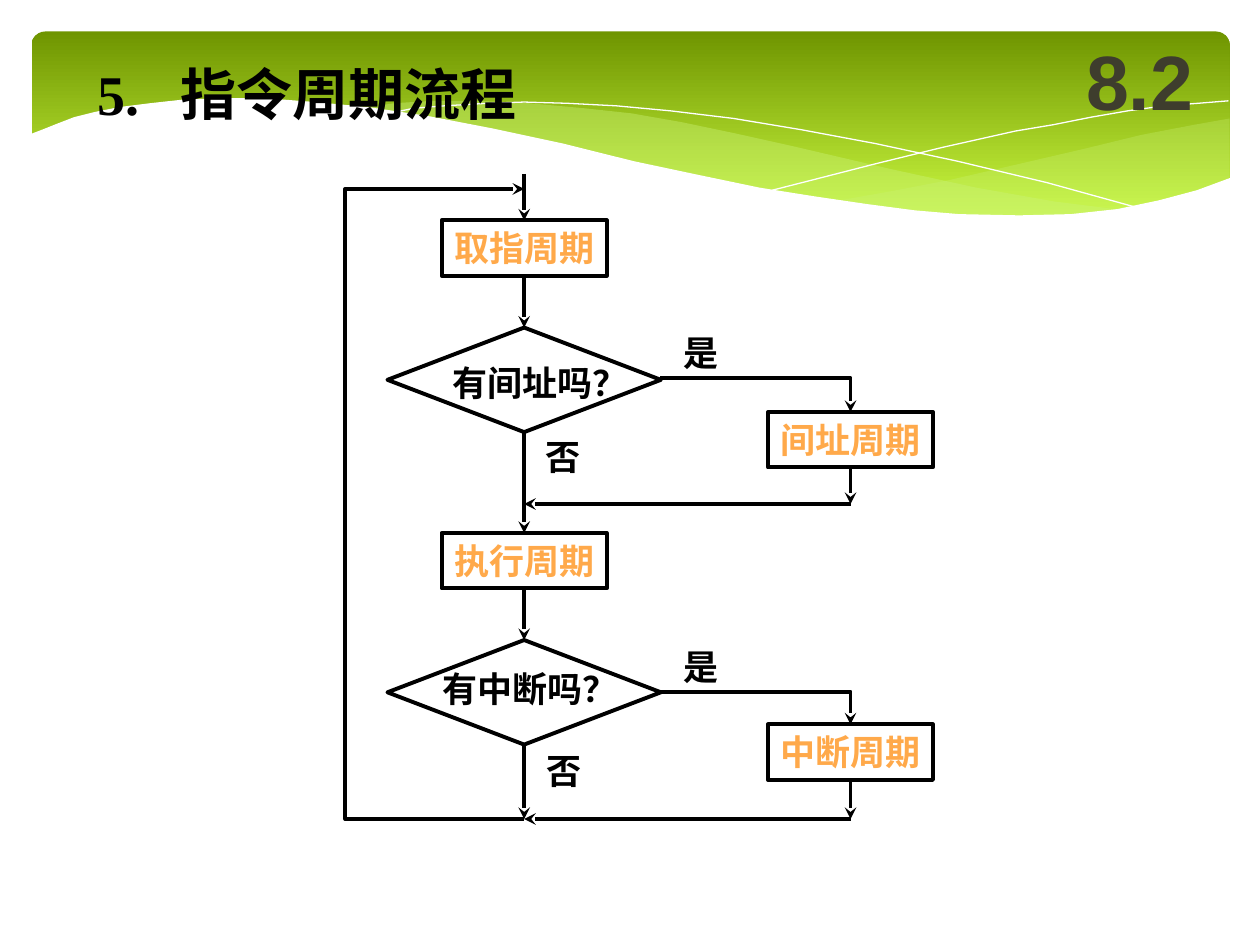
"""Build the instruction cycle flowchart slide."""
from lxml import etree
from pptx import Presentation
from pptx.dml.color import RGBColor
from pptx.enum.shapes import MSO_CONNECTOR, MSO_SHAPE
from pptx.enum.text import MSO_ANCHOR, MSO_AUTO_SIZE, PP_ALIGN
from pptx.oxml.ns import qn
from pptx.util import Inches, Pt

STRAIGHT = MSO_CONNECTOR.STRAIGHT
RECTANGLE, DIAMOND, ROUNDED = MSO_SHAPE.RECTANGLE, MSO_SHAPE.DIAMOND, MSO_SHAPE.ROUNDED_RECTANGLE
TOP, MIDDLE = MSO_ANCHOR.TOP, MSO_ANCHOR.MIDDLE
LEFT, CENTER = PP_ALIGN.LEFT, PP_ALIGN.CENTER
NO_AUTOSIZE = MSO_AUTO_SIZE.NONE
TOP_SITE, BOTTOM_SITE = 0, 2

COLORS = {
    "ink": "000000", "step": "FFA94A", "number": "3E3D2D", "white": "FFFFFF",
    "band_top": "6F9500", "band_bottom": "D0FF44", "wave": "CAF278",
}
SERIF, SANS = "Times New Roman", "Arial"
TITLE = ("5.", "指令周期流程")
SECTION = "8.2"

MAIN_X, SIDE_X, LOOP_X = 4.16, 6.75, 2.74
START_Y, LOOP_Y, END_Y = 1.38, 1.5, 6.5
BOX_SIZE, DIAMOND_SIZE = (1.31, 0.44), (2.17, 0.83)
STEPS = {
    "取指周期": (MAIN_X, 1.75), "执行周期": (MAIN_X, 4.23),
    "间址周期": (SIDE_X, 3.27), "中断周期": (SIDE_X, 5.75),
}
DECISIONS = {"有间址吗？": 2.6, "有中断吗？": 5.08}
LABELS = [
    ("有间址吗？", 3.49, 2.82, 1.59), ("有中断吗？", 3.41, 5.25, 1.59),
    ("是", 5.33, 2.58, 0.48), ("是", 5.33, 5.07, 0.48),
    ("否", 4.23, 3.41, 0.48), ("否", 4.24, 5.9, 0.48),
]
LINKS = [
    ((MAIN_X, START_Y), "取指周期"), ("取指周期", "有间址吗？"),
    ("有间址吗？", "执行周期"), ("执行周期", "有中断吗？"),
    ("有中断吗？", (MAIN_X, END_Y)),
    ("间址周期", (SIDE_X, 4)), ((SIDE_X, 4), (MAIN_X, 4)),
    ("中断周期", (SIDE_X, END_Y)), ((SIDE_X, END_Y), (MAIN_X, END_Y)),
]
BENT_ARROWS = [
    [(5.24, 3), (SIDE_X, 3), (SIDE_X, 3.27)],
    [(5.24, 5.49), (SIDE_X, 5.49), (SIDE_X, 5.75)],
    [(MAIN_X, END_Y), (LOOP_X, END_Y), (LOOP_X, LOOP_Y), (MAIN_X, LOOP_Y)],
]

RIGHT_WAVE = [
    (9.76, 0.94), (9.48, 0.99), (9.06, 1.07), (8.61, 1.18), (8.05, 1.31), (7.53, 1.43),
    (7.06, 1.52), (6.61, 1.6), (7.05, 1.65), (7.45, 1.69), (7.81, 1.72), (8.14, 1.72),
    (8.54, 1.7), (8.89, 1.66), (9.21, 1.6), (9.49, 1.52), (9.76, 1.41),
]
MIDDLE_WAVE = [
    (8.93, 1.67), (8.37, 1.6), (7.75, 1.49), (7.06, 1.34), (6.29, 1.16), (5.84, 1.06),
    (5.41, 0.97), (5.01, 0.9), (4.64, 0.86), (4.2, 0.82), (3.8, 0.8), (3.44, 0.8),
    (3.13, 0.82), (2.86, 0.86), (3.23, 0.9), (3.62, 0.97), (4.04, 1.06), (4.49, 1.16),
    (5.3, 1.35), (5.84, 1.46), (6.34, 1.56), (6.8, 1.63), (7.22, 1.68), (7.61, 1.71),
    (7.96, 1.73), (8.28, 1.73), (8.57, 1.71), (8.93, 1.67),
]
FALLING_CURVE = [
    (3.09, 0.9), (3.28, 0.86), (3.53, 0.84), (3.87, 0.82), (4.16, 0.81), (4.5, 0.82),
    (4.89, 0.84), (5.32, 0.88), (5.82, 0.94), (6.36, 1.03), (6.95, 1.14), (7.6, 1.28),
    (8.31, 1.45), (9.07, 1.66),
]
RISING_CURVE = [
    (6.13, 1.51), (6.52, 1.41), (6.95, 1.3), (7.48, 1.17), (8.06, 1.04), (8.36, 0.99),
    (8.66, 0.93), (8.95, 0.88), (9.24, 0.84), (9.51, 0.82), (9.75, 0.8),
]
WHITE_WAVE = [
    (9.77, 1.41), (9.5, 1.51), (9.2, 1.59), (8.87, 1.66), (8.5, 1.7), (8.09, 1.71),
    (7.61, 1.7), (7.26, 1.67), (6.88, 1.62), (6.47, 1.56), (6.03, 1.49), (5.55, 1.39),
    (5.03, 1.28), (4.47, 1.14), (3.91, 1.02), (3.39, 0.92), (2.92, 0.85), (2.5, 0.81),
    (2.11, 0.78), (1.76, 0.78), (1.46, 0.79), (1.19, 0.82), (0.95, 0.85), (0.75, 0.89),
    (0.59, 0.93), (0.46, 0.98), (0.36, 1.02), (0.23, 1.07), (0.23, 2.24), (9.77, 2.24),
]


def rgb(name):
    return RGBColor.from_string(COLORS[name])


def add_run(paragraph, text, size, color, font_name=SERIF):
    run = paragraph.add_run()
    run.text = text
    font = run.font
    font.name, font.size, font.bold = font_name, Pt(size), True
    font.color.rgb = rgb(color)


def set_line(shape, color="ink", width=2.25):
    shape.line.color.rgb = rgb(color)
    shape.line.width = Pt(width)


def add_arrowhead(shape):
    line = shape._element.spPr.find(qn("a:ln"))
    etree.SubElement(line, qn("a:tailEnd"), type="stealth")


def add_path(slide, points, closed=False):
    corners = [(Inches(x), Inches(y)) for x, y in points]
    builder = slide.shapes.build_freeform(*corners[0])
    builder.add_line_segments(corners[1:], close=closed)
    shape = builder.convert_to_shape()
    shape.shadow.inherit = False
    shape.fill.background()
    return shape


def add_wave(slide, points, color, opacity=100):
    shape = add_path(slide, points, closed=True)
    shape.fill.solid()
    shape.fill.fore_color.rgb = rgb(color)
    shape.line.fill.background()
    if opacity < 100:
        fill_color = shape._element.spPr.find(qn("a:solidFill"))[0]
        etree.SubElement(fill_color, qn("a:alpha"), val=str(opacity * 1000))


def add_banner(slide):
    banner = slide.shapes.add_shape(ROUNDED, Inches(0.25), Inches(0.25), Inches(9.51), Inches(1.56))
    banner.adjustments[0] = 0.07
    banner.shadow.inherit = False
    banner.line.fill.background()
    banner.fill.gradient()
    banner.fill.gradient_angle = 270
    for stop, position, color in zip(banner.fill.gradient_stops, (0, 1), ("band_top", "band_bottom")):
        stop.position = position
        stop.color.rgb = rgb(color)
    add_wave(slide, RIGHT_WAVE, "wave", 29)
    add_wave(slide, MIDDLE_WAVE, "wave", 40)
    for curve in (FALLING_CURVE, RISING_CURVE):
        set_line(add_path(slide, curve), "white", 0)
    add_wave(slide, WHITE_WAVE, "white")


def add_headings(slide):
    title = slide.shapes.title
    title._element.getparent().append(title._element)
    title.left, title.top, title.width, title.height = map(Inches, (0.67, 0.42, 6.25, 0.64))
    frame = title.text_frame
    frame.auto_size, frame.vertical_anchor = NO_AUTOSIZE, TOP
    paragraph = frame.paragraphs[0]
    paragraph.alignment = LEFT
    tabs = etree.SubElement(paragraph._p.get_or_add_pPr(), qn("a:tabLst"))
    etree.SubElement(tabs, qn("a:tab"), pos=str(Inches(0.66)), algn="l")
    add_run(paragraph, "\t".join(TITLE), 32, "ink")

    section = slide.shapes.add_textbox(Inches(8.42), Inches(0.17), Inches(1.25), Inches(0.92))
    section.text_frame.word_wrap = True
    section.text_frame.vertical_anchor = MIDDLE
    paragraph = section.text_frame.paragraphs[0]
    paragraph.alignment = CENTER
    add_run(paragraph, SECTION, 44, "number", SANS)


def add_node(slide, kind, center_x, top, size):
    width, height = size
    node = slide.shapes.add_shape(
        kind, Inches(center_x - width / 2), Inches(top), Inches(width), Inches(height))
    node.shadow.inherit = False
    node.fill.background()
    set_line(node)
    return node


def add_link(slide, nodes, start, end):
    points = [(0, 0) if name in nodes else tuple(map(Inches, name)) for name in (start, end)]
    link = slide.shapes.add_connector(STRAIGHT, *points[0], *points[1])
    if start in nodes:
        link.begin_connect(nodes[start], BOTTOM_SITE)
    if end in nodes:
        link.end_connect(nodes[end], TOP_SITE)
    set_line(link)
    add_arrowhead(link)
    etree.SubElement(link._element.spPr, qn("a:effectLst"))


def add_flowchart(slide):
    nodes = {}
    for text, (center_x, top) in STEPS.items():
        node = nodes[text] = add_node(slide, RECTANGLE, center_x, top, BOX_SIZE)
        node.text_frame.word_wrap = False
        node.text_frame.vertical_anchor = TOP
        paragraph = node.text_frame.paragraphs[0]
        paragraph.alignment = LEFT
        add_run(paragraph, text, 20, "step")
    for text, top in DECISIONS.items():
        nodes[text] = add_node(slide, DIAMOND, MAIN_X, top, DIAMOND_SIZE)
    for start, end in LINKS:
        add_link(slide, nodes, start, end)
    for points in BENT_ARROWS:
        arrow = add_path(slide, points)
        set_line(arrow)
        add_arrowhead(arrow)
    for text, left, top, width in LABELS:
        label = slide.shapes.add_textbox(Inches(left), Inches(top), Inches(width), Inches(0.44))
        label.text_frame.word_wrap = False
        add_run(label.text_frame.paragraphs[0], text, 20, "ink")


def main():
    presentation = Presentation()
    presentation.slide_width, presentation.slide_height = Inches(10), Inches(7.5)
    slide = presentation.slides.add_slide(presentation.slide_layouts[5])
    add_banner(slide)
    add_headings(slide)
    add_flowchart(slide)
    presentation.save("out.pptx")


if __name__ == "__main__":
    main()
